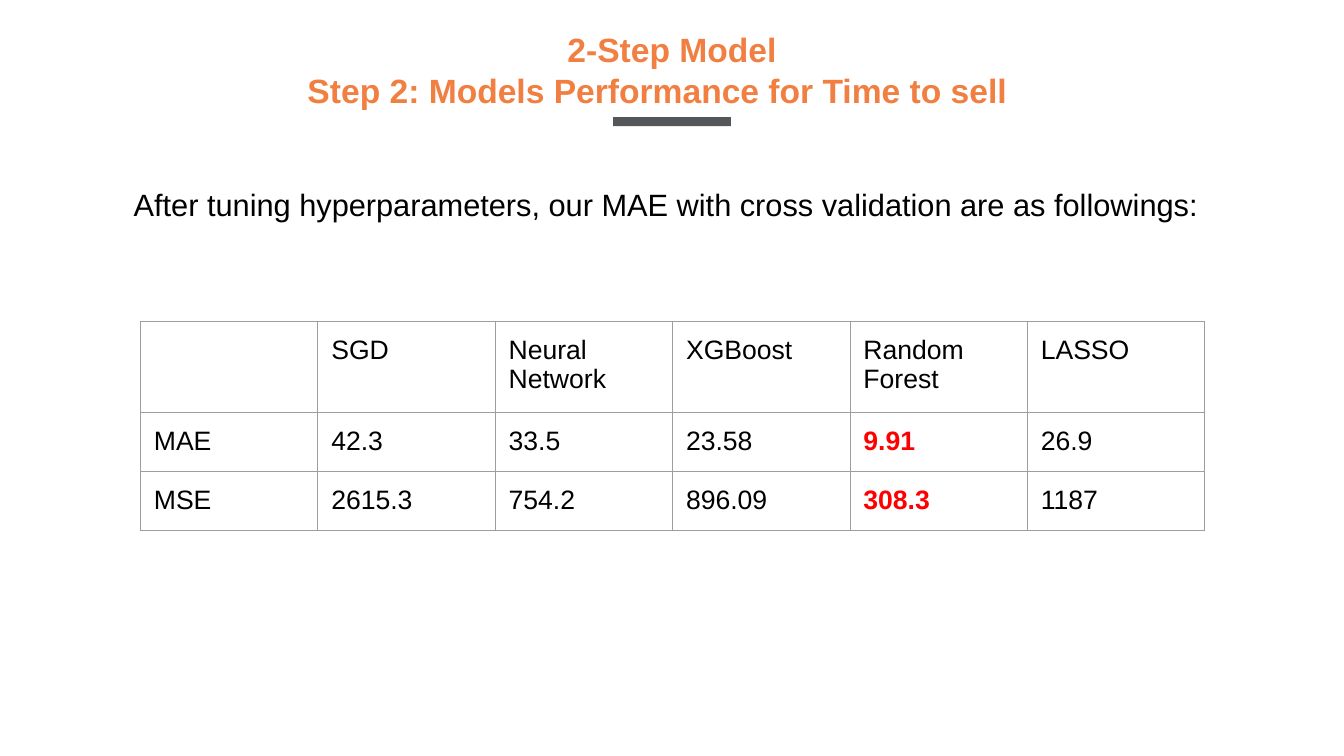
from lxml.etree import SubElement
from pptx import Presentation
from pptx.dml.color import RGBColor
from pptx.enum.shapes import MSO_SHAPE as Preset
from pptx.enum.text import PP_ALIGN as Align
from pptx.oxml.ns import qn
from pptx.util import Cm, Pt

ORANGE = RGBColor(0xF1, 0x7F, 0x42)
SLATE = RGBColor(0x53, 0x57, 0x5A)
BLACK = RGBColor(0, 0, 0)
RED = RGBColor(0xFF, 0, 0)
BORDER_GREY = RGBColor(0x9E, 0x9E, 0x9E)

SCORES = [
    ["", "SGD", "Neural Network", "XGBoost", "Random Forest", "LASSO"],
    ["MAE", "42.3", "33.5", "23.58", "9.91", "26.9"],
    ["MSE", "2615.3", "754.2", "896.09", "308.3", "1187"],
]
BEST_MODEL = SCORES[0].index("Random Forest")
ROW_HEIGHTS = [2.17, 1.41, 1.41]


def add_run(paragraph, text, size, color, bold=False):
    run = paragraph.add_run()
    run.text = text
    font = run.font
    font.name, font.size, font.bold = "Arial", Pt(size), bold
    font.color.rgb = color


def add_heading(slide, left, top, width, height):
    heading = slide.shapes.add_textbox(Cm(left), Cm(top), Cm(width), Cm(height)).text_frame
    heading.word_wrap = True
    first = heading.paragraphs[0]
    first.alignment = Align.CENTER
    add_run(first, "2-Step Model", 24, ORANGE, True)
    second = heading.add_paragraph()
    second.alignment = Align.LEFT
    add_run(second, "Step 2: Models Performance for Time to sell", 24, ORANGE, True)

    bar_width = 2.97
    underline = slide.shapes.add_shape(
        Preset.RECTANGLE, Cm(left + (width - bar_width) / 2), Cm(top + 2.34),
        Cm(bar_width), Cm(0.23))
    underline.shadow.inherit = False
    underline.fill.solid()
    underline.fill.fore_color.rgb = SLATE
    underline.line.fill.background()


def add_intro(slide, left, top, width, height):
    intro = slide.shapes.add_textbox(Cm(left), Cm(top), Cm(width), Cm(height)).text_frame
    intro.word_wrap = True
    add_run(intro.paragraphs[0],
            "After tuning hyperparameters, our MAE with cross validation are as followings:",
            22, BLACK)


def add_borders(cell):
    properties = cell._tc.get_or_add_tcPr()
    for position, side in enumerate(("lnL", "lnR", "lnT", "lnB")):
        border = SubElement(properties, qn(f"a:{side}"), w=str(Pt(0.75)))
        fill = SubElement(border, qn("a:solidFill"))
        SubElement(fill, qn("a:srgbClr"), val=str(BORDER_GREY))
        properties.insert(position, border)


def add_scores(slide, left, top, width):
    scores = slide.shapes.add_table(
        len(SCORES), len(SCORES[0]), Cm(left), Cm(top), Cm(width), Cm(sum(ROW_HEIGHTS))).table
    scores.first_row = scores.horz_banding = False
    for column in scores.columns:
        column.width = Cm(width / len(SCORES[0]))
    for r, values in enumerate(SCORES):
        scores.rows[r].height = Cm(ROW_HEIGHTS[r])
        for c, value in enumerate(values):
            cell = scores.cell(r, c)
            cell.margin_left = cell.margin_right = Cm(0.34)
            cell.margin_top = cell.margin_bottom = Cm(0.34)
            cell.fill.background()
            add_borders(cell)
            best = r > 0 and c == BEST_MODEL
            if value:
                add_run(cell.text_frame.paragraphs[0], value, 19, RED if best else BLACK, best)


def main():
    deck = Presentation()
    deck.slide_width, deck.slide_height = Cm(33.87), Cm(19.05)
    slide = deck.slides.add_slide(deck.slide_layouts[6])
    add_heading(slide, 7.5, 0.61, 18.87, 1.27)
    add_intro(slide, 3.12, 4.55, 27.64, 2.97)
    add_scores(slide, 3.54, 8.11, 26.82)
    deck.save("out.pptx")


if __name__ == "__main__":
    main()
